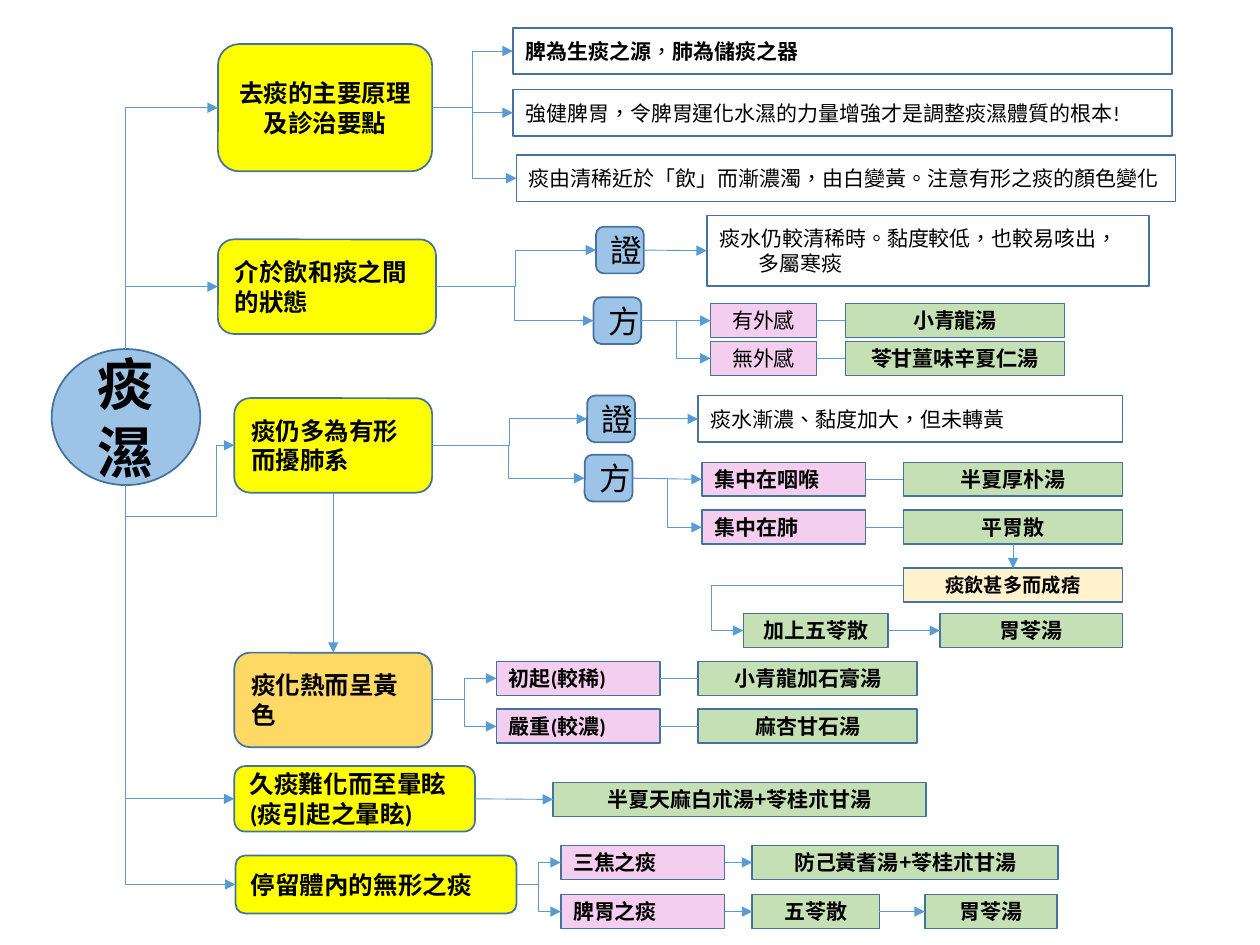
from lxml import etree
from pptx import Presentation
from pptx.dml.color import RGBColor
from pptx.enum.lang import MSO_LANGUAGE_ID
from pptx.enum.shapes import MSO_CONNECTOR, MSO_SHAPE
from pptx.enum.text import MSO_ANCHOR, PP_ALIGN
from pptx.oxml.ns import qn
from pptx.util import Pt

PX = 9144  # 100 px to the inch
RECT, ROUND, OVAL = MSO_SHAPE.RECTANGLE, MSO_SHAPE.ROUNDED_RECTANGLE, MSO_SHAPE.OVAL
LINE, ELBOW = MSO_CONNECTOR.STRAIGHT, MSO_CONNECTOR.ELBOW
LEFT, MID = PP_ALIGN.LEFT, PP_ALIGN.CENTER
MIDDLE = MSO_ANCHOR.MIDDLE
TAIWAN = MSO_LANGUAGE_ID.TRADITIONAL_CHINESE
TOP, WEST, LOW, EAST = range(4)
CJK = "Noto Sans CJK SC"

HUES = {
    "blue": "9DC3E6", "yellow": "FFFF00", "gold": "FFD966", "white": "FFFFFF",
    "pink": "F4CEEF", "green": "C5E0B4", "cream": "FFF2CC",
    "edge": "43739E", "link": "5B9BD5", "ink": "000000",
}
# Each kind of box: shape, fill and text format
KINDS = {
    "root": (OVAL, "blue", dict(size=32, bold=True, align=MID, font=CJK)),
    "topic": (ROUND, "yellow", dict(size=14, bold=True)),
    "heat": (ROUND, "gold", dict(size=14, bold=True)),
    "badge": (ROUND, "blue", dict(size=18, align=MID)),
    "note": (RECT, "white", dict(hang=31)),
    "sign": (RECT, "pink", dict(bold=True)),
    "cure": (RECT, "green", dict(bold=True, align=MID, font=CJK)),
    "turn": (RECT, "cream", dict(size=11, bold=True, align=MID, font="Arial")),
}


def hue(name):
    return RGBColor.from_string(HUES[name])


def write(shape, text, size=12, bold=False, align=LEFT, font="Calibri", hang=0):
    """Fill a shape with text; every second part between bars is not bold."""
    frame = shape.text_frame
    frame.word_wrap = True
    frame.vertical_anchor = MIDDLE
    para = frame.paragraphs[0]
    para.alignment = align
    if hang:
        props = para._p.get_or_add_pPr()
        props.set("marL", str(hang * PX))
        props.set("indent", str(-hang * PX))
    for i, part in enumerate(text.split("|")):
        run = para.add_run()
        run.text = part
        run.font.name = font
        run.font.size = Pt(size)
        run.font.bold = bold and i % 2 == 0
        run.font.color.rgb = hue("ink")
        run.font.language_id = TAIWAN


def box(slide, kind, text, x, y, w, h=27, **extra):
    form, fill, style = KINDS[kind]
    shape = slide.shapes.add_shape(form, x * PX, y * PX, w * PX, h * PX)
    shape.shadow.inherit = False
    shape.fill.solid()
    shape.fill.fore_color.rgb = hue(fill)
    shape.line.color.rgb = hue("edge")
    shape.line.width = Pt(1)
    write(shape, text, **{**style, **extra})
    return shape


def dress(wire, end=None, form=None, bends=()):
    """Style a connector: arrowhead end, preset form and bend positions."""
    wire.line.color.rgb = hue("link")
    wire.line.width = Pt(0.5)
    props = wire._element.spPr
    if end:
        etree.SubElement(props.find(qn("a:ln")), qn("a:" + end), type="triangle")
    etree.SubElement(props, qn("a:effectLst"))
    geom = props.find(qn("a:prstGeom"))
    if form:
        geom.set("prst", form)
    for i, bend in enumerate(bends, 1):
        etree.SubElement(geom.find(qn("a:avLst")), qn("a:gd"),
                         name=f"adj{i}", fmla=f"val {round(bend * 100000)}")


def spot(shape, side):
    dx, dy = ((1, 0), (0, 1), (1, 2), (2, 1))[side]
    return shape.left + shape.width * dx // 2, shape.top + shape.height * dy // 2


def link(slide, a, b, sides=(EAST, WEST), arrow=True, bend=0.5):
    """Join two boxes, straight where they are level and bent elsewhere."""
    start, stop = spot(a, sides[0]), spot(b, sides[1])
    level = min(abs(p - q) for p, q in zip(start, stop)) <= 2 * PX
    wire = slide.shapes.add_connector(LINE if level else ELBOW, *start, *stop)
    wire.begin_connect(a, sides[0])
    wire.end_connect(b, sides[1])
    dress(wire, "tailEnd" if arrow else None,
          bends=() if level else (bend,))


def branch(slide, root, topic, side, form="bentConnector2", bends=()):
    """Lead from the top or foot of the root to the left of a topic."""
    wire = slide.shapes.add_connector(ELBOW, *spot(topic, WEST), *spot(root, side))
    dress(wire, "headEnd", form, bends)


def rows(slide, source, x, y, step, wide, gap, items, arrow=False, **extra):
    """Sign and cure pairs, one below the other; returns the cures."""
    cures = []
    for i, (sign, cure, width) in enumerate(items):
        top = y + i * step
        left = box(slide, "sign", sign, x, top, wide, **extra)
        right = box(slide, "cure", cure, x + wide + gap, top, width)
        link(slide, source, left)
        link(slide, left, right, arrow=arrow)
        cures.append(right)
    return cures


def badges(slide, topic, x, y, step, text, w, h):
    """Pattern badge with its note, and formula badge, which is returned."""
    proof = box(slide, "badge", "證", x, y, 38, 37)
    means = box(slide, "badge", "方", x - 2, y + step, 38, 37)
    note = box(slide, "note", text, x + 88, y + int((37 - h) / 2), w, h)
    link(slide, topic, proof)
    link(slide, topic, means)
    link(slide, proof, note)
    return means


# Regions, each placed from the corner of its topic box
def basics(slide, x, y):
    topic = box(slide, "topic", "去痰的主要原理及診治要點", x, y, 170, 101, align=MID)
    notes = [
        ("脾為生痰之源|，|肺為儲痰之器", 234, -13, True, 0.5),
        ("強健脾胃，令脾胃運化水濕的力量增強才是調整痰濕體質的根本!", 234, 36, False, 0.5),
        ("痰由清稀近於「飲」而漸濃濁，由白變黃。注意有形之痰的顏色變化", 237, 88, False, 0.48),
    ]
    for text, dx, dy, bold, bend in notes:
        note = box(slide, "note", text, x + dx, y + dy, 523, 37, bold=bold)
        link(slide, topic, note, bend=bend)
    return topic


def between(slide, x, y):
    topic = box(slide, "topic", "介於飲和痰之間的狀態", x, y, 173, 75)
    means = badges(slide, topic, x + 300, y - 10, 56,
                   "痰水仍較清稀時。黏度較低，也較易咳出，多屬寒痰", 351, 56)
    rows(slide, means, x + 391, y + 51, 30, 84, 23,
         [("有外感", "小青龍湯", 174), ("無外感", "苓甘薑味辛夏仁湯", 174)],
         bold=False, align=MID)
    return topic


def lungs(slide, x, y):
    topic = box(slide, "topic", "痰仍多為有形而擾肺系", x, y, 157, 75)
    means = badges(slide, topic, x + 280, y - 2, 47,
                   "痰水漸濃、黏度加大，但未轉黃", 337, 37)
    calm = rows(slide, means, x + 371, y + 51, 38, 130, 30,
                [("集中在咽喉", "半夏厚朴湯", 174), ("集中在肺", "平胃散", 174)])[1]
    turn = box(slide, "turn", "痰飲甚多而成痞", x + 531, y + 135, 174)
    extra = box(slide, "cure", "加上五苓散", x + 404, y + 171, 115)
    final = box(slide, "cure", "胃苓湯", x + 560, y + 171, 145)
    link(slide, calm, turn, (LOW, TOP))
    link(slide, turn, extra, (WEST, WEST), bend=1.2)
    link(slide, extra, final)
    return topic


def heat(slide, x, y):
    topic = box(slide, "heat", "痰化熱而呈黃色", x, y, 157, 75)
    rows(slide, topic, x + 208, y + 7, 38, 130, 30,
         [("初起(較稀)", "小青龍加石膏湯", 174), ("嚴重(較濃)", "麻杏甘石湯", 174)])
    return topic


def dizzy(slide, x, y):
    topic = box(slide, "topic", "久痰難化而至暈眩(痰引起之暈眩)", x, y, 191, 52)
    cure = box(slide, "cure", "半夏天麻白朮湯+苓桂朮甘湯", x + 253, y + 13, 296)
    link(slide, topic, cure)
    return topic


def unseen(slide, x, y):
    topic = box(slide, "topic", "停留體內的無形之痰", x, y, 223, 46)
    last = rows(slide, topic, x + 258, y - 8, 39, 130, 22,
                [("三焦之痰", "防己黃耆湯+苓桂朮甘湯", 243),
                 ("脾胃之痰", "五苓散", 101)], arrow=True)[1]
    final = box(slide, "cure", "胃苓湯", x + 547, y + 31, 105)
    link(slide, last, final)
    return topic


def main():
    deck = Presentation()
    deck.slide_width, deck.slide_height = 1000 * PX, 750 * PX
    slide = deck.slides.add_slide(deck.slide_layouts[6])
    root = box(slide, "root", "痰濕", 41, 277, 118, 108)
    for topic in (basics(slide, 173, 35), between(slide, 173, 190)):
        branch(slide, root, topic, TOP)
    lung = lungs(slide, 186, 316)
    branch(slide, root, lung, LOW, "bentConnector4", (0.16, 1.8))
    link(slide, lung, heat(slide, 186, 518), (LOW, TOP))
    for topic in (dizzy(slide, 186, 608), unseen(slide, 187, 679)):
        branch(slide, root, topic, LOW)
    deck.save("out.pptx")


if __name__ == "__main__":
    main()
